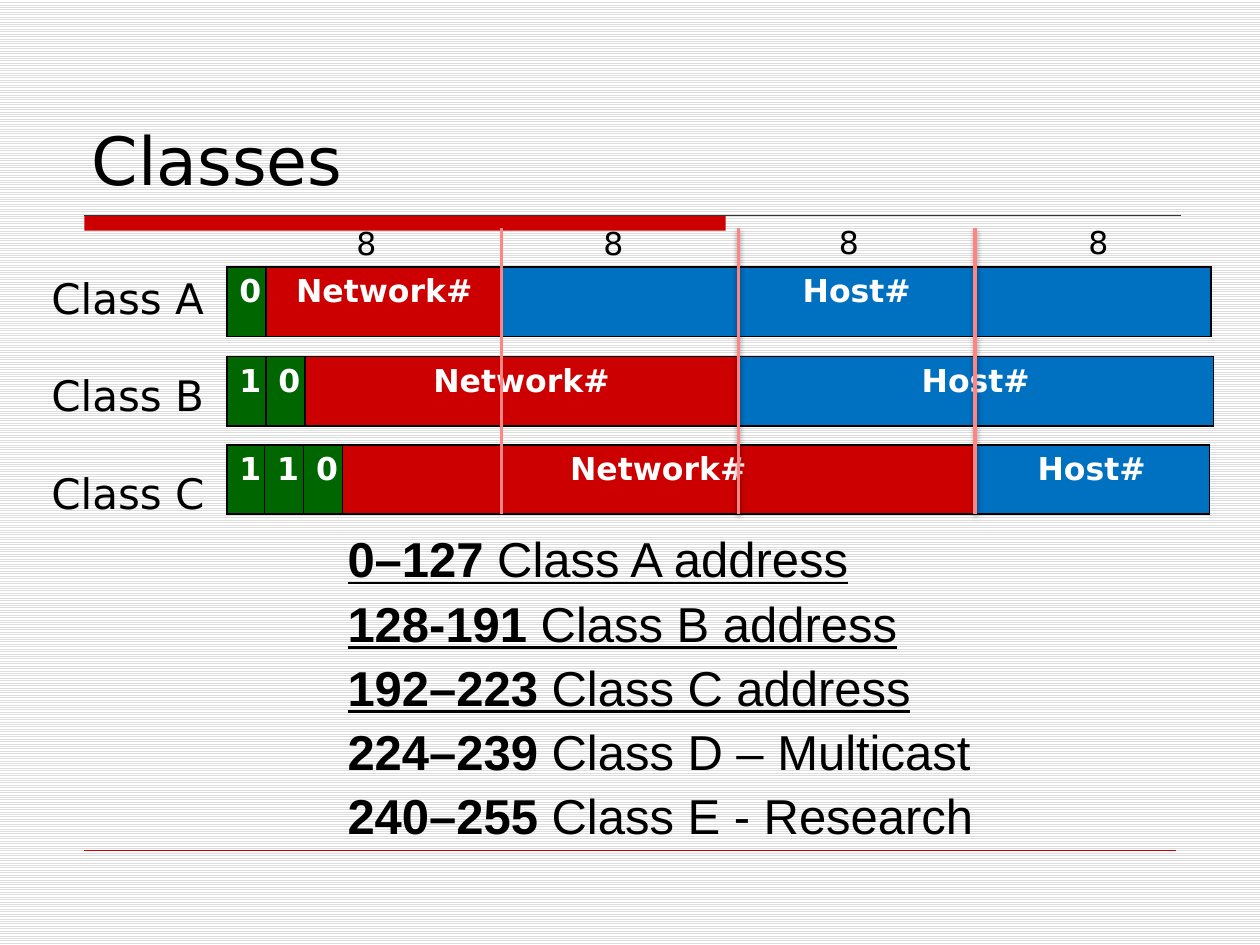
from dataclasses import dataclass

from lxml import etree
from pptx import Presentation
from pptx.dml.color import RGBColor
from pptx.enum.dml import MSO_PATTERN
from pptx.enum.shapes import MSO_CONNECTOR, MSO_SHAPE
from pptx.enum.text import MSO_ANCHOR, MSO_AUTO_SIZE, PP_ALIGN
from pptx.oxml import parse_xml
from pptx.oxml.ns import nsdecls, qn
from pptx.slide import Slide
from pptx.util import Inches, Pt

STRAIGHT = MSO_CONNECTOR.STRAIGHT
RECTANGLE = MSO_SHAPE.RECTANGLE
MIDDLE = MSO_ANCHOR.MIDDLE
CENTER, LEFT = PP_ALIGN.CENTER, PP_ALIGN.LEFT
GROW, FIXED = MSO_AUTO_SIZE.SHAPE_TO_FIT_TEXT, MSO_AUTO_SIZE.NONE

SANS, ARIAL = "DejaVu Sans", "Arial"
BLACK, WHITE, RED, GREEN, BLUE, PINK = (
    "000000", "FFFFFF", "CC0000", "006600", "0070C0", "FF8585")
TABLE_LEFT, ROW_HEIGHT = 1.8, 0.55


@dataclass
class AddressClass:
    label: str
    label_top: float
    table_top: float
    bits: str
    widths: list[float]


@dataclass
class Divider:
    x: float
    width: float
    shadow: bool


@dataclass
class AddressRange:
    numbers: str
    description: str
    underline: bool


CLASSES = [
    AddressClass("Class A", 2.11, 2.12, "0", [0.31, 1.88, 5.62]),
    AddressClass("Class B", 2.88, 2.83, "10", [0.31, 0.31, 3.44, 3.77]),
    AddressClass("Class C", 3.66, 3.53, "110", [0.3, 0.31, 0.31, 5.01, 1.87]),
]
OCTETS = [(2.73, 1.73), (4.69, 1.73), (6.56, 1.72), (8.54, 1.72)]
DIVIDERS = [Divider(3.98, 2.25, False), Divider(5.86, 2, True), Divider(7.74, 2, True)]
RANGES = [
    AddressRange("0–127", " Class A address", True),
    AddressRange("128-191", " Class B address", True),
    AddressRange("192–223", " Class C address", True),
    AddressRange("224–239 ", "Class D – Multicast", False),
    AddressRange("240–255 ", "Class E - Research", False),
]


def color(value: str) -> RGBColor:
    return RGBColor.from_string(value)


def style_font(font, size: float, name: str = SANS, hex_color: str = BLACK,
               bold: bool = False) -> None:
    font.size, font.name, font.bold = Pt(size), name, bold
    font.color.rgb = color(hex_color)


def add_line(slide: Slide, start: tuple[float, float], end: tuple[float, float],
             hex_color: str, width: float, shadow: bool = False) -> None:
    line = slide.shapes.add_connector(STRAIGHT, *map(Inches, start + end))
    line.line.color.rgb = color(hex_color)
    line.line.width = Pt(width)
    effects = etree.SubElement(line._element.spPr, qn("a:effectLst"))
    if shadow:
        effects.append(parse_xml(
            f'<a:outerShdw {nsdecls("a")} blurRad="{Pt(3.1)}" dist="{Pt(1.6)}" '
            'dir="5400000" rotWithShape="0"><a:srgbClr val="000000">'
            '<a:alpha val="38000"/></a:srgbClr></a:outerShdw>'))


def add_label(slide: Slide, text: str, left: float, top: float, width: float,
              height: float, size: float) -> None:
    box = slide.shapes.add_textbox(*map(Inches, (left, top, width, height)))
    frame = box.text_frame
    frame.text = text
    frame.word_wrap = False
    frame.auto_size = GROW
    style_font(frame.paragraphs[0].runs[0].font, size)


def add_class_table(slide: Slide, address_class: AddressClass) -> None:
    texts = [*address_class.bits, "Network#", "Host#"]
    fills = [GREEN] * len(address_class.bits) + [RED, BLUE]
    widths = address_class.widths
    table = slide.shapes.add_table(
        1, len(texts), Inches(TABLE_LEFT), Inches(address_class.table_top),
        Inches(sum(widths)), Inches(ROW_HEIGHT)).table
    table.first_row = table.horz_banding = False
    for index, (text, fill, width) in enumerate(zip(texts, fills, widths)):
        table.columns[index].width = Inches(width)
        cell = table.cell(0, index)
        properties = cell._tc.get_or_add_tcPr()
        for side in "LRTB":
            properties.append(parse_xml(
                f'<a:ln{side} {nsdecls("a")} w="{Pt(1)}"><a:solidFill>'
                f'<a:srgbClr val="{BLACK}"/></a:solidFill></a:ln{side}>'))
        cell.fill.solid()
        cell.fill.fore_color.rgb = color(fill)
        cell.text = text
        paragraph = cell.text_frame.paragraphs[0]
        paragraph.alignment = CENTER
        style_font(paragraph.runs[0].font, 18, hex_color=WHITE, bold=True)


def add_ranges(slide: Slide) -> None:
    box = slide.shapes.add_textbox(*map(Inches, (2.66, 4.2, 5.31, 2.6)))
    frame = box.text_frame
    frame.word_wrap = True
    frame.auto_size = GROW
    for index, address_range in enumerate(RANGES):
        paragraph = frame.add_paragraph() if index else frame.paragraphs[0]
        paragraph.line_spacing = 0.9
        paragraph.space_before = Pt(6.5 if index else 0)
        for text, bold in ((address_range.numbers, True),
                           (address_range.description, False)):
            run = paragraph.add_run()
            run.text = text
            style_font(run.font, 28, ARIAL, bold=bold)
            run.font.underline = address_range.underline


def main() -> None:
    presentation = Presentation()
    presentation.slide_width, presentation.slide_height = Inches(10), Inches(7.5)
    slide = presentation.slides.add_slide(presentation.slide_layouts[5])

    # Striped background
    background = slide.background.fill
    background.patterned()
    background.pattern = MSO_PATTERN.LIGHT_HORIZONTAL
    background.fore_color.rgb = color("DDDDDD")
    background.back_color.rgb = color(WHITE)

    # Title
    title = slide.shapes.title
    title.left, title.top, title.width, title.height = map(
        Inches, (0.63, 0.86, 8.75, 0.8))
    frame = title.text_frame
    frame.text = "Classes"
    frame.vertical_anchor = MIDDLE
    frame.auto_size = FIXED
    frame.paragraphs[0].alignment = LEFT
    style_font(frame.paragraphs[0].runs[0].font, 38)

    # Title bar and rules
    bar = slide.shapes.add_shape(RECTANGLE, *map(Inches, (0.67, 1.71, 5.09, 0.12)))
    bar.shadow.inherit = False
    bar.fill.solid()
    bar.fill.fore_color.rgb = color(RED)
    bar.line.fill.background()
    add_line(slide, (0.67, 1.71), (9.37, 1.71), "333333", 0.75)
    add_line(slide, (0.67, 6.75), (9.33, 6.75), RED, 0.25)

    # Address layouts, octet sizes and dividers
    for address_class in CLASSES:
        add_class_table(slide, address_class)
        add_label(slide, address_class.label, 0.31, address_class.label_top,
                  1.43, 0.51, 24)
    for left, top in OCTETS:
        add_label(slide, "8", left, top, 0.36, 0.4, 18)
    for divider in DIVIDERS:
        add_line(slide, (divider.x, 1.81), (divider.x, 4.08), PINK,
                 divider.width, divider.shadow)

    # First-octet ranges
    add_ranges(slide)

    presentation.save("out.pptx")


if __name__ == "__main__":
    main()
